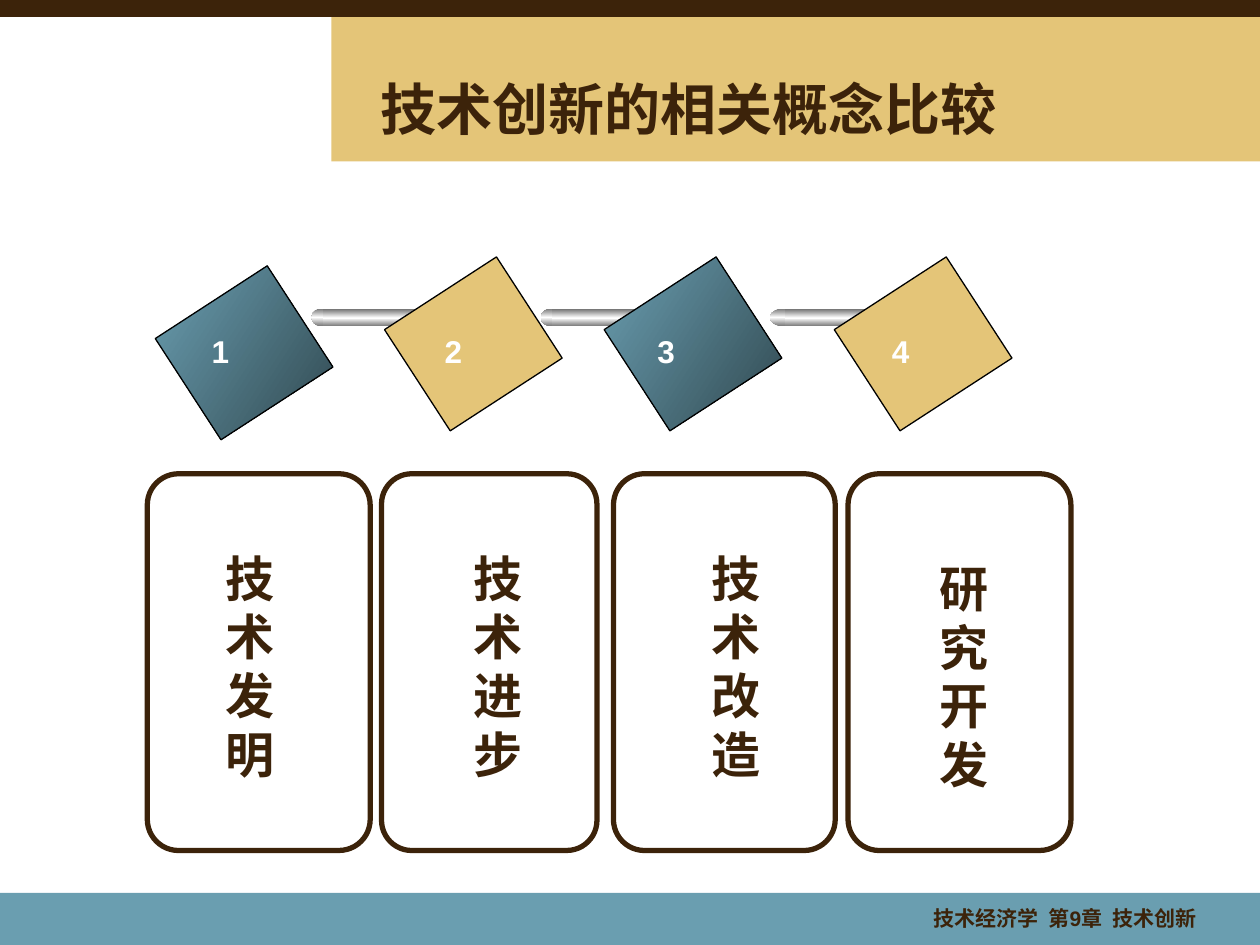
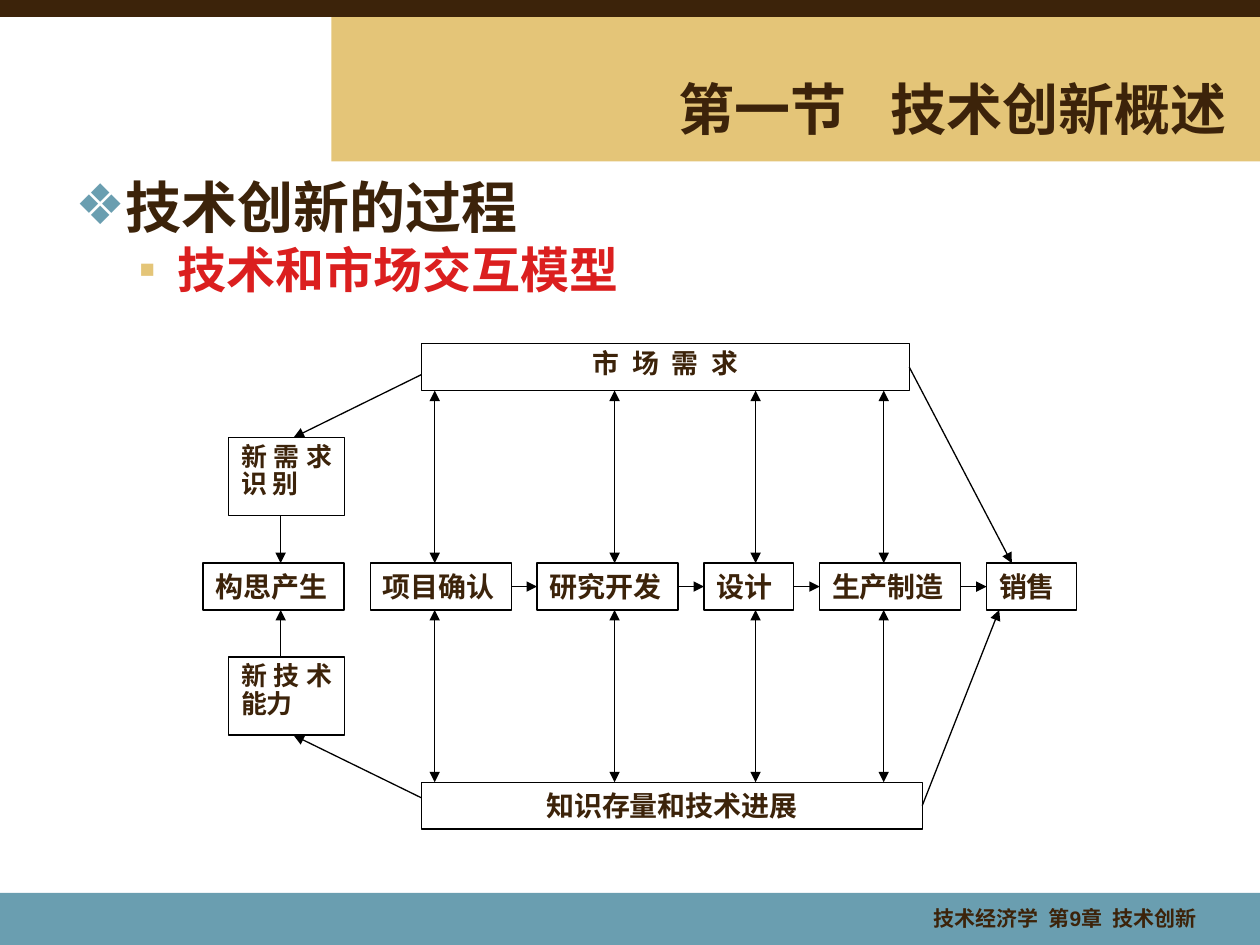
from itertools import groupby

from lxml import etree
from pptx import Presentation
from pptx import util as u
from pptx.dml.color import RGBColor
from pptx.enum import shapes, text
from pptx.oxml.ns import qn

Pt = u.Pt
KIND = shapes.MSO_SHAPE
ALIGN = text.PP_ALIGN
ANCHOR = text.MSO_ANCHOR

COLORS = {
    "brown": "3C230A", "gold": "E4C578", "blue": "6A9EB0", "slate": "314951",
    "red": "DB1F1F", "gray": "767676", "white": "FFFFFF", "black": "000000",
}
METAL = (("gray", "white", "gray"), 90)
BLUE_SHADE = (("blue", "slate"), 33)


def add_box(page, kind, place, fill=None, line=None, weight=0.75):
    """Draw a preset shape; fill is a colour name or (colour names, clockwise angle)."""
    box = page.shapes.add_shape(kind, *[Pt(length) for length in place])
    box.shadow.inherit = False
    if fill is None:
        box.fill.background()
    elif isinstance(fill, str):
        box.fill.solid()
        box.fill.fore_color.rgb = RGBColor.from_string(COLORS[fill])
    else:
        names, angle = fill
        box.fill.gradient()
        box.fill.gradient_angle = 360 - angle
        gradient = box._element.spPr.find(qn("a:gradFill"))
        gradient.set("rotWithShape", "0")
        stops = gradient.find(qn("a:gsLst"))
        for stop in list(stops):
            stops.remove(stop)
        for index, name in enumerate(names):
            stop = etree.SubElement(stops, qn("a:gs"), pos=str(index * 100000 // (len(names) - 1)))
            etree.SubElement(stop, qn("a:srgbClr"), val=COLORS[name])
    if line:
        box.line.color.rgb = RGBColor.from_string(COLORS[line])
        box.line.width = Pt(weight)
    else:
        box.line.fill.background()
    return box


def write(holder, words, size, font="Arial", color="brown", align=ALIGN.LEFT,
          anchor=ANCHOR.TOP, spacing=None, gap=0, wrap=True):
    """Write one paragraph per line of words; gap widens each space, in points."""
    frame = holder.text_frame
    frame.word_wrap = wrap
    frame.auto_size = text.MSO_AUTO_SIZE.NONE
    frame.vertical_anchor = anchor
    for index, line in enumerate(words.split("\n")):
        para = frame.add_paragraph() if index else frame.paragraphs[0]
        para.alignment = align
        if spacing:
            para.line_spacing = spacing
        for is_space, letters in groupby(line, str.isspace):
            span = para.add_run()
            span.text = "".join(letters)
            span.font.name = font
            span.font.size = Pt(size)
            span.font.bold = True
            span.font.color.rgb = RGBColor.from_string(COLORS[color])
            if is_space and gap:
                span._r.get_or_add_rPr().set("spc", str(round(gap * 100)))


deck = Presentation()
deck.slide_width, deck.slide_height = Pt(720), Pt(540)
concepts = deck.slides.add_slide(deck.slide_layouts[5])
process = deck.slides.add_slide(deck.slide_layouts[1])

# Bands shared through the slide master
bands = [
    ((189.4, 9.4, 530.6, 82.8), "gold", None),
    ((0, 510.3, 720, 31.7), "blue", None),
    ((0, 0, 720, 9.4), "brown", "brown"),
]
for index, (place, fill, line) in enumerate(bands):
    band = add_box(concepts, KIND.RECTANGLE, place, fill, line)
    band._element.nvSpPr.cNvPr.set("id", str(101 + index))
    deck.slide_master.shapes._spTree.insert(2 + index, band._element)

# Titles and footers
titles = [
    (concepts, "技术创新的相关概念比较", ALIGN.LEFT),
    (process, "第一节 技术创新概述", ALIGN.RIGHT),
]
for page, words, align in titles:
    title = page.shapes.title
    title.left, title.top, title.width, title.height = Pt(210.4), Pt(39.5), Pt(498), Pt(45)
    write(title, words, 32, align=align, anchor=ANCHOR.MIDDLE, gap=17.8)
    footer = page.shapes.add_textbox(Pt(442), Pt(514), Pt(249), Pt(24))
    write(footer, "技术经济学 第9章 技术创新", 12, align=ALIGN.RIGHT, gap=3.3)

# Slide 1: four concept cards under a chain of tilted squares
cards = [
    (84.2, 127.4, 121.7, 309.6, "技\n术\n发\n明"),
    (218, 123.1, 263.5, 309.6, "技\n术\n进步"),
    (350.6, 126.7, 399.6, 309.6, "技\n术\n改造"),
    (484.6, 127.4, 530, 315.4, "研究开发"),
]
for left, width, *_ in cards:
    card = add_box(concepts, KIND.ROUNDED_RECTANGLE, (left, 270.7, width, 215.3), None, "brown", 3)
    card.adjustments[0] = 0.14

squares = [
    (105, 163.5, BLUE_SHADE, 113.8),
    (236, 158.4, "gold", 247),
    (361.5, 158.4, BLUE_SHADE, 368.6),
    (493, 158.4, "gold", 502.6),
]
rod_stretches = [1, 1, 1.3]
rod_parts = [
    (KIND.OVAL, 0, 12.2, 176.4, 10, None),
    (KIND.RECTANGLE, 6.5, 59, 176.8, 9.8, None),
    (KIND.OVAL, 60.5, 10.8, 177, 9.4, "white"),
    (KIND.OVAL, 66.2, 2.9, 180, 2.9, None),
]
for index, (left, top, fill, _) in enumerate(squares):
    square = add_box(concepts, KIND.RECTANGLE, (left, top, 69, 76.3), fill, "black")
    square.rotation = 57
    if index < len(rod_stretches):
        stretch = rod_stretches[index]
        rod_left = 178 + 131 * index
        for kind, offset, width, part_top, height, line in rod_parts:
            place = (rod_left + offset * stretch, part_top, width * stretch, height)
            add_box(concepts, kind, place, METAL, line, 1)

for number, (_, _, _, left) in enumerate(squares, 1):
    label = concepts.shapes.add_textbox(Pt(left), Pt(186), Pt(24.5), Pt(29))
    write(label, str(number), 18, color="white", wrap=False)
for _, _, left, top, words in cards:
    name = concepts.shapes.add_textbox(Pt(left), Pt(top), Pt(51), Pt(142))
    write(name, words, 28)

# Slide 2: outline
body = process.placeholders[1]
body.left, body.top, body.width, body.height = Pt(36), Pt(102.2), Pt(654), Pt(128)
write(body, "技术创新的过程\n技术和市场交互模型", 32, spacing=0.8)
outline = [
    (0, 27, -27, "❖", "blue", 32, "DejaVu Sans", "brown", 0),
    (1, 58.5, -22.5, "▪", "gold", 28, "Arial", "red", 7),
]
for para, (level, margin, indent, mark, mark_color, size, font, color, before) in zip(
        body.text_frame.paragraphs, outline):
    para.level = level
    para.space_before = Pt(before)
    settings = para._p.get_or_add_pPr()
    settings.set("marL", str(Pt(margin)))
    settings.set("indent", str(Pt(indent)))
    bullet_color = etree.SubElement(settings, qn("a:buClr"))
    etree.SubElement(bullet_color, qn("a:srgbClr"), val=COLORS[mark_color])
    etree.SubElement(settings, qn("a:buFont"), typeface="Arial")
    etree.SubElement(settings, qn("a:buChar"), char=mark)
    span = para.runs[0]
    span.font.size = Pt(size)
    span.font.name = font
    span.font.color.rgb = RGBColor.from_string(COLORS[color])

# Slide 2: interaction model
ROW_TOP, ROW_HEIGHT = 321.8, 26.8
ROW_BOTTOM = ROW_TOP + ROW_HEIGHT
steps = [
    ("构思产生", 116, 80.6), ("项目确认", 211.7, 80.6), ("研究开发", 306.9, 80.6),
    ("设计", 402.3, 51.3), ("生产制造", 468.4, 80.6), ("销售", 563.8, 51.3),
]
model = [
    ("市 场 需 求", (241, 196.4, 278.6, 26.8), 15.3, ALIGN.CENTER, 0.9, 3.8),
    ("知识存量和技术进展", (241, 447, 286, 26.8), 16, ALIGN.CENTER, None, 0),
    ("新需求识 别", (130.7, 250, 66.2, 44.6), 14.8, ALIGN.JUSTIFY, 0.9, 0),
    ("新技术能力", (130.7, 375.5, 66.2, 44.6), 14.8, ALIGN.JUSTIFY, 0.9, 0),
]
model += [(words, (left, ROW_TOP, width, ROW_HEIGHT), 16, ALIGN.JUSTIFY, None, 0)
          for words, left, width in steps]
boxes = []
for words, place, size, align, spacing, gap in model:
    box = add_box(process, KIND.RECTANGLE, place, "white", "black")
    write(box, words, size, "Times New Roman", align=align, spacing=spacing, gap=gap)
    boxes.append(box)
market, knowledge, need, ability, *stages = boxes

# Each arrow: start point, end point, two-headed, joined start box, joined end box
arrows = [
    ((519.6, 209.8), (578.2, ROW_TOP), False, market, None),
    ((527, 460.4), (571, ROW_BOTTOM), False, knowledge, None),
    ((241, 214), (167.8, 250), False, None, None),
    ((241, 456), (167.8, 420.2), False, None, None),
    ((160.4, 294.6), (160.4, ROW_TOP), False, None, None),
    ((160.4, 375.5), (160.4, ROW_BOTTOM), False, None, None),
]
for x in (248.4, 351.2, 431.8, 505):
    arrows.append(((x, 223.2), (x, ROW_TOP), True, None, None))
    arrows.append(((x, ROW_BOTTOM), (x, 447), True, None, None))
for first, second in zip(stages[1:], stages[2:]):
    arrows.append(((0, 0), (0, 0), False, first, second))

for start, end, two_headed, first, second in arrows:
    arrow = process.shapes.add_connector(
        shapes.MSO_CONNECTOR.STRAIGHT, *[Pt(length) for length in start + end])
    if first is not None:
        arrow.begin_connect(first, 3)
    if second is not None:
        arrow.end_connect(second, 1)
    arrow.line.color.rgb = RGBColor.from_string(COLORS["black"])
    arrow.line.width = Pt(0.75)
    stroke = arrow.line._get_or_add_ln()
    for tip in ("a:headEnd", "a:tailEnd") if two_headed else ("a:tailEnd",):
        etree.SubElement(stroke, qn(tip), type="triangle")
    etree.SubElement(arrow._element.spPr, qn("a:effectLst"))

deck.save("out.pptx")
